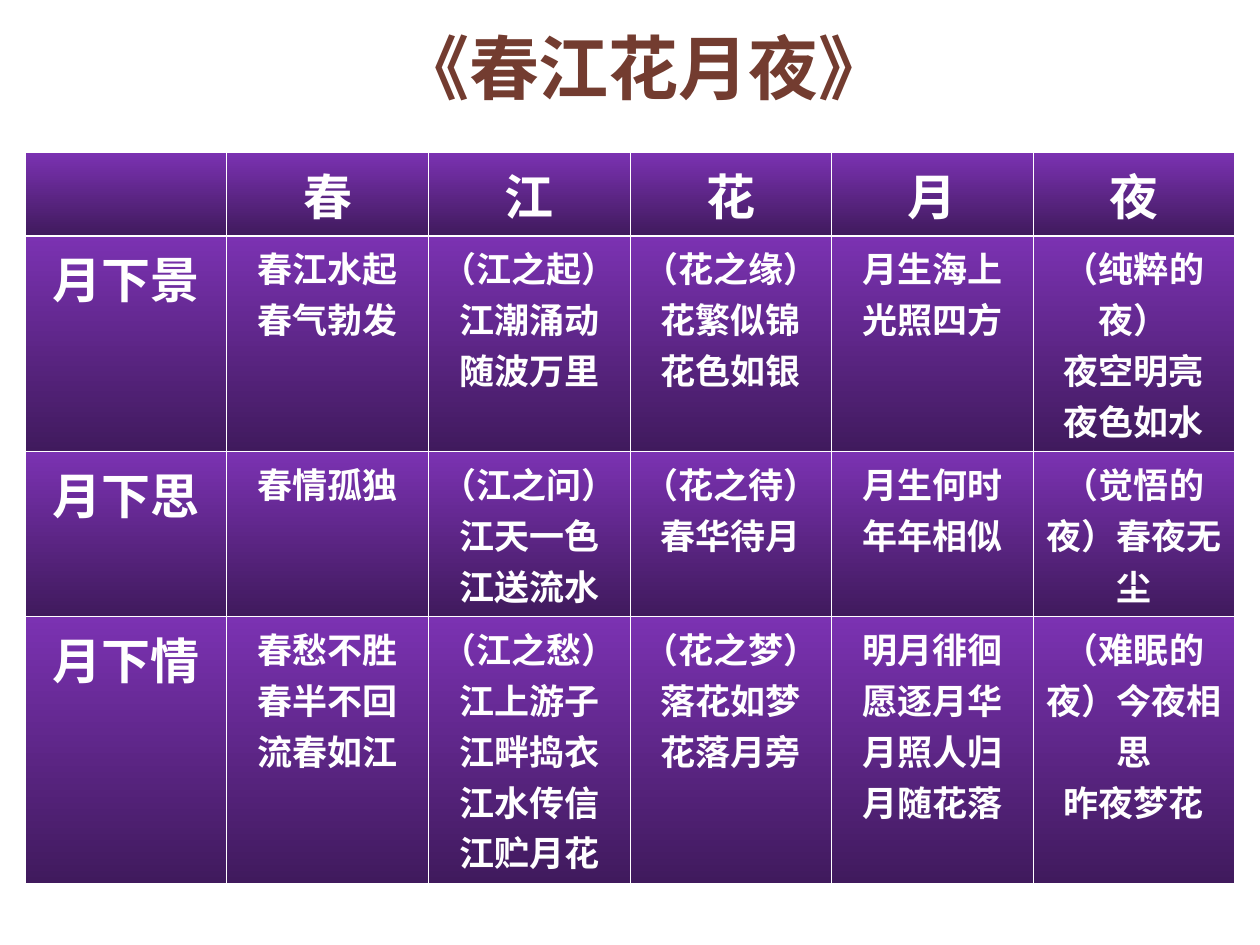
"""Build the slide that charts the imagery of a poem in a table."""
from lxml.etree import SubElement
from pptx import Presentation
from pptx.dml.color import RGBColor
from pptx.enum.text import MSO_ANCHOR as Anchor, PP_ALIGN as Align
from pptx.oxml.ns import qn
from pptx.util import Inches, Pt

TITLE = "《春江花月夜》"
HEADINGS = ["春", "江", "花", "月", "夜"]
SCENES = [
    ("月下景", [
        ["春江水起", "春气勃发"],
        ["（江之起）", "江潮涌动", "随波万里"],
        ["（花之缘）花繁似锦", "花色如银"],
        ["月生海上", "光照四方"],
        ["（纯粹的夜）", "夜空明亮", "夜色如水"],
    ]),
    ("月下思", [
        ["春情孤独"],
        ["（江之问）", "江天一色", "江送流水"],
        ["（花之待）春华待月"],
        ["月生何时", "年年相似"],
        ["（觉悟的夜）春夜无尘"],
    ]),
    ("月下情", [
        ["春愁不胜", "春半不回", "流春如江"],
        ["（江之愁）", "江上游子", "江畔捣衣", "江水传信", "江贮月花"],
        ["（花之梦）落花如梦", "花落月旁"],
        ["明月徘徊", "愿逐月华", "月照人归", "月随花落"],
        ["（难眠的夜）今夜相思", "昨夜梦花"],
    ]),
]
ROW_HEIGHTS = [0.57, 1.43, 1.1, 1.77]
COLUMN_WIDTH = 1.6
HEADING_SIZE, BODY_SIZE, TITLE_SIZE = 28, 20, 40
THIN, THICK = 0.45, 1.47
LATIN, CHINESE = "Calibri", "Noto Sans CJK SC"
BROWN = RGBColor(0x73, 0x3C, 0x30)
WHITE = RGBColor(0xFF, 0xFF, 0xFF)
VIOLET = RGBColor(0x7B, 0x32, 0xB2)
DEEP_VIOLET = RGBColor(0x40, 0x1A, 0x5D)


def write_lines(frame, lines, size, color, latin):
    for index, line in enumerate(lines):
        para = frame.add_paragraph() if index else frame.paragraphs[0]
        para.alignment = Align.CENTER
        span = para.add_run()
        span.text = line
        font = span.font
        font.size, font.bold, font.name = Pt(size), True, latin
        font.color.rgb = color
        SubElement(font._element, qn("a:ea"), typeface=CHINESE)


def draw_borders(cell, top, bottom):
    properties = cell._tc.get_or_add_tcPr()
    for side, width in zip("LRTB", (THIN, THIN, top, bottom)):
        line = SubElement(properties, qn(f"a:ln{side}"), w=str(Pt(width)))
        fill = SubElement(line, qn("a:solidFill"))
        SubElement(fill, qn("a:srgbClr"), val=str(WHITE))


def shade(cell):
    cell.fill.gradient()
    cell.fill.gradient_angle = 270
    for stop, color in zip(cell.fill.gradient_stops, (VIOLET, DEEP_VIOLET)):
        stop.color.rgb = color


def add_title(page):
    box = page.shapes.title
    box.left, box.top, box.width, box.height = map(Inches, (2.07, 0.15, 6.08, 0.77))
    frame = box.text_frame
    frame.vertical_anchor = Anchor.BOTTOM
    write_lines(frame, [TITLE], TITLE_SIZE, BROWN, CHINESE)
    frame.paragraphs[0].line_spacing = 0.9


def add_poem_table(page):
    grid = [[[]] + [[heading] for heading in HEADINGS]]
    grid += [[[name]] + cells for name, cells in SCENES]
    columns = len(grid[0])
    table = page.shapes.add_table(
        len(grid), columns, Inches(0.2), Inches(1.21),
        Inches(COLUMN_WIDTH * columns), Inches(sum(ROW_HEIGHTS))).table
    for column in table.columns:
        column.width = Inches(COLUMN_WIDTH)
    for row, height in zip(table.rows, ROW_HEIGHTS):
        row.height = Inches(height)
    for r, cells in enumerate(grid):
        for c, lines in enumerate(cells):
            cell = table.cell(r, c)
            draw_borders(cell, THICK if r == 1 else THIN, THICK if r == 0 else THIN)
            shade(cell)
            size = HEADING_SIZE if r == 0 or c == 0 else BODY_SIZE
            write_lines(cell.text_frame, lines, size, WHITE, LATIN)


def main():
    deck = Presentation()
    deck.slide_width, deck.slide_height = Inches(10), Inches(7.5)
    page = deck.slides.add_slide(deck.slide_layouts[5])
    add_title(page)
    add_poem_table(page)
    deck.save("out.pptx")


if __name__ == "__main__":
    main()
